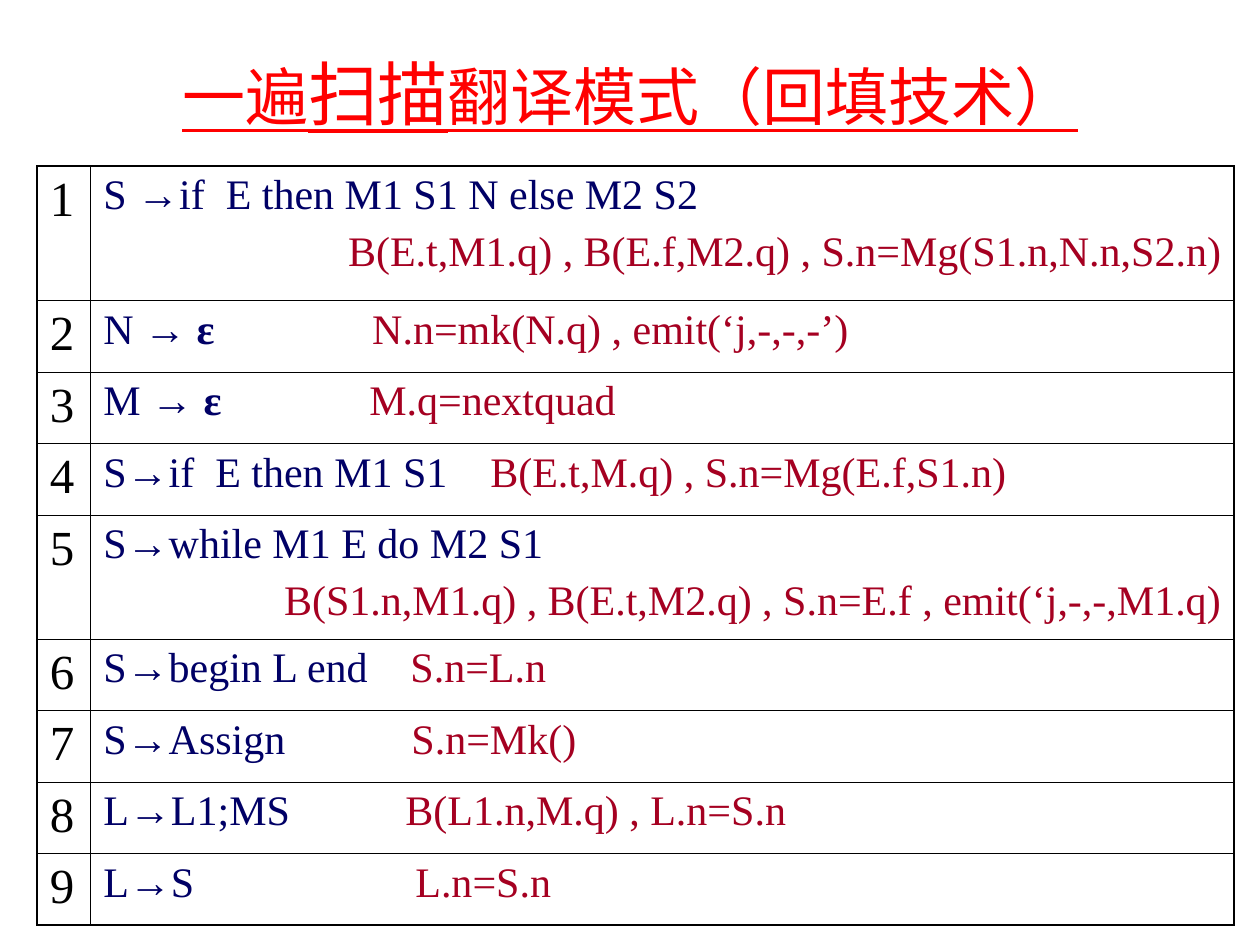
"""Build the slide listing the one-pass translation scheme with backpatching."""
from dataclasses import dataclass
from typing import Optional

from lxml import etree
from pptx import Presentation
from pptx import util as u
from pptx.dml.color import RGBColor
from pptx.enum import text
from pptx.oxml.ns import qn

FONT = "Times New Roman"
RED, NAVY, CRIMSON, BLACK = "FF0000", "000066", "A50021", "000000"
OUTER, INNER = 1.08, 0.45


@dataclass
class Rule:
    production: str
    action: str
    height: float = 1.44
    action_at: Optional[float] = None
    symbol: str = ""


RULES = [
    Rule("S →if  E then M1 S1 N else M2 S2",
         "B(E.t,M1.q) , B(E.f,M2.q) , S.n=Mg(S1.n,N.n,S2.n)", height=2.71),
    Rule("N → ", "N.n=mk(N.q) , emit(‘j,-,-,-’)", action_at=5.42, symbol="ε"),
    Rule("M → ", "M.q=nextquad", action_at=5.36, symbol="ε"),
    Rule("S→if  E then M1 S1", "B(E.t,M.q) , S.n=Mg(E.f,S1.n)", action_at=7.8),
    Rule("S→while M1 E do M2 S1",
         "B(S1.n,M1.q) , B(E.t,M2.q) , S.n=E.f , emit(‘j,-,-,M1.q)", height=2.5),
    Rule("S→begin L end", "S.n=L.n", action_at=6.19),
    Rule("S→Assign", "S.n=Mk()", action_at=6.21),
    Rule("L→L1;MS", "B(L1.n,M.q) , L.n=S.n", action_at=6.09),
    Rule("L→S", "L.n=S.n", action_at=6.29),
]


def paint(font, colour: str) -> None:
    font.color.rgb = RGBColor.from_string(colour)


def style(paragraph, size: float, colour: str) -> None:
    paragraph.font.name = FONT
    paragraph.font.size = u.Pt(size)
    paint(paragraph.font, colour)


def add_run(paragraph, words: str):
    run = paragraph.add_run()
    run.text = words
    return run


def add_tab(paragraph, position: float) -> None:
    stops = etree.SubElement(paragraph._p.get_or_add_pPr(), qn("a:tabLst"))
    etree.SubElement(stops, qn("a:tab"), pos=str(u.Cm(position)), algn="l")


def set_borders(cell, widths: dict[str, float]) -> None:
    for side, width in widths.items():
        line = etree.SubElement(cell._tc.get_or_add_tcPr(), qn(f"a:ln{side}"),
                                w=str(u.Pt(width)))
        fill = etree.SubElement(line, qn("a:solidFill"))
        etree.SubElement(fill, qn("a:srgbClr"), val=BLACK)
    cell.fill.background()


def write_rule(frame, rule: Rule) -> None:
    production = frame.paragraphs[0]
    if rule.action_at:
        add_tab(production, rule.action_at)
    style(production, 24, NAVY)
    add_run(production, rule.production)
    if rule.symbol:
        add_run(production, rule.symbol).font.bold = True
    if rule.action_at:
        paint(add_run(production, "\t" + rule.action).font, CRIMSON)
        return
    action = frame.add_paragraph()
    action.alignment = text.PP_ALIGN.RIGHT
    action.space_before = u.Pt(6)
    style(action, 24, CRIMSON)
    add_run(action, rule.action)


def add_title(slide) -> None:
    frame = slide.shapes.add_textbox(u.Cm(1.9), u.Cm(0.28), u.Cm(21.6), u.Cm(3.18)).text_frame
    frame.word_wrap = True
    frame.vertical_anchor = text.MSO_ANCHOR.MIDDLE
    heading = frame.paragraphs[0]
    heading.alignment = text.PP_ALIGN.CENTER
    style(heading, 36, RED)
    heading.font.underline = True
    for words, size in (("一遍", 36), ("扫描", 40), ("翻译模式（回填技术）", 36)):
        add_run(heading, words).font.size = u.Pt(size)


def add_rules(slide) -> None:
    columns = (1.08, 23.04)
    total = sum(rule.height for rule in RULES)
    table = slide.shapes.add_table(len(RULES), len(columns), u.Cm(0.75), u.Cm(3.35),
                                   u.Cm(sum(columns)), u.Cm(total)).table
    table.first_row = table.horz_banding = False
    for column, width in zip(table.columns, columns):
        column.width = u.Cm(width)
    for index, rule in enumerate(RULES):
        table.rows[index].height = u.Cm(rule.height)
        number, body = table.cell(index, 0), table.cell(index, 1)
        top = OUTER if index == 0 else INNER
        bottom = OUTER if index == len(RULES) - 1 else INNER
        set_borders(number, {"L": OUTER, "R": INNER, "T": top, "B": bottom})
        set_borders(body, {"L": INNER, "R": OUTER, "T": top, "B": bottom})
        label = number.text_frame.paragraphs[0]
        style(label, 28, BLACK)
        add_run(label, str(index + 1))
        write_rule(body.text_frame, rule)


def main() -> None:
    deck = Presentation()
    deck.slide_width, deck.slide_height = u.Cm(25.4), u.Cm(19.05)
    slide = deck.slides.add_slide(deck.slide_layouts[6])
    add_title(slide)
    add_rules(slide)
    deck.save("out.pptx")


if __name__ == "__main__":
    main()
